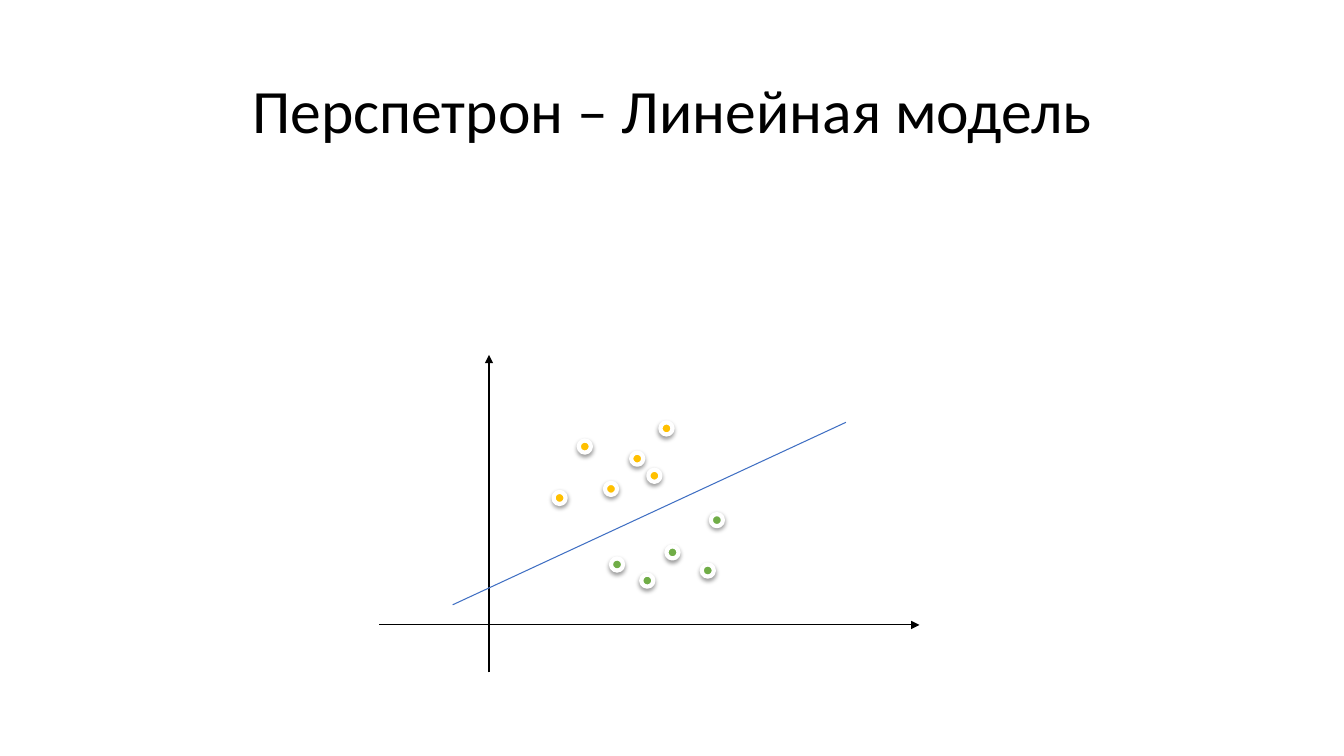
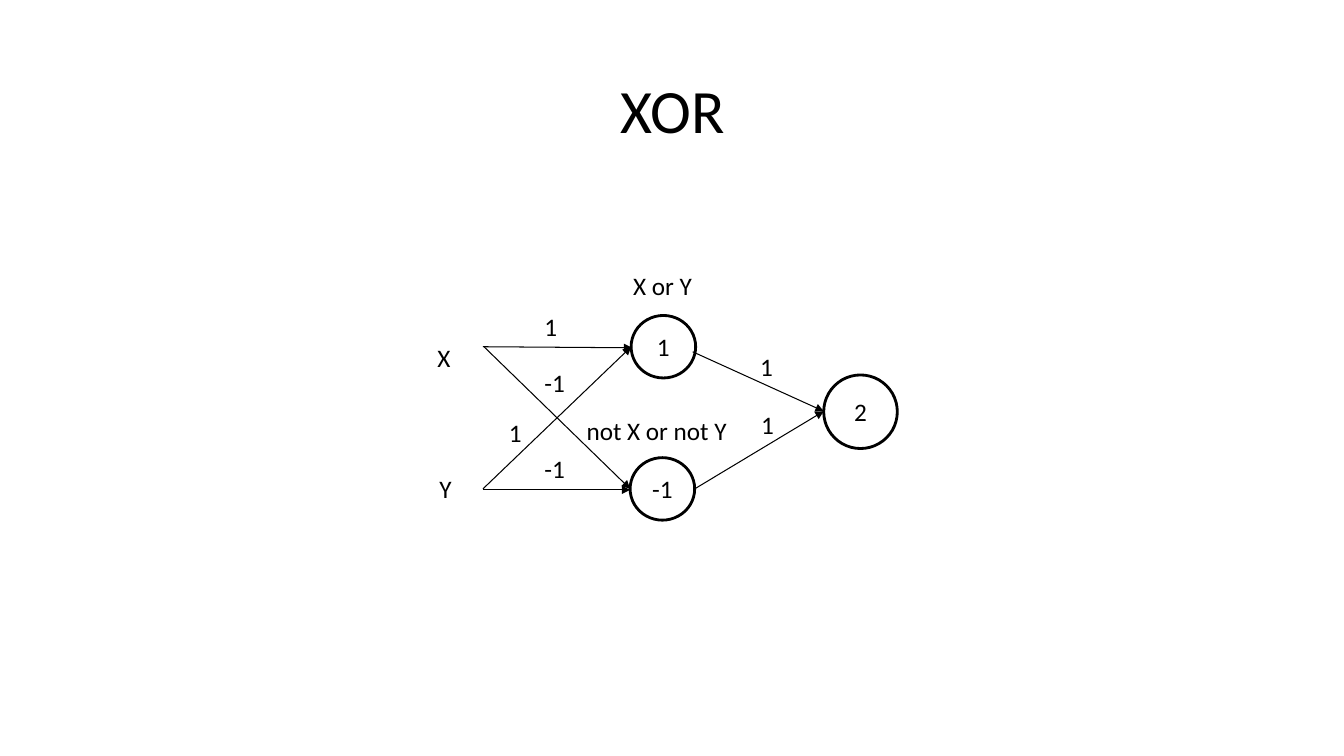
"""Build two slides: a linear perceptron model and an XOR network."""
from lxml import etree
from pptx import Presentation
from pptx.dml.color import RGBColor
from pptx.enum.shapes import MSO_CONNECTOR, MSO_SHAPE
from pptx.enum.text import MSO_ANCHOR, PP_ALIGN
from pptx.oxml.ns import qn
from pptx.util import Inches, Pt

STRAIGHT = MSO_CONNECTOR.STRAIGHT
OVAL = MSO_SHAPE.OVAL
MIDDLE = MSO_ANCHOR.MIDDLE
CENTER = PP_ALIGN.CENTER

FONT = "Calibri"
BLACK, WHITE, BLUE = "000000", "FFFFFF", "3F6FC3"
YELLOW, GREEN = "FFC000", "70AD47"
TITLES = ["Перспетрон – Линейная модель", "XOR"]
DOT = 0.12


def rgb(value):
    return RGBColor.from_string(value)


def add_line(s, x1, y1, x2, y2, color=BLACK, arrow=True):
    line = s.shapes.add_connector(STRAIGHT, Inches(x1), Inches(y1), Inches(x2), Inches(y2))
    line.line.color.rgb = rgb(color)
    line.line.width = Pt(0.75)
    if arrow:
        etree.SubElement(line.line._get_or_add_ln(), qn("a:tailEnd"), type="triangle")
    etree.SubElement(line._element.spPr, qn("a:effectLst"))


prs = Presentation()
prs.slide_width, prs.slide_height = Inches(13.33), Inches(7.5)

for title in TITLES:
    s = prs.slides.add_slide(prs.slide_layouts[5])
    sp = s.shapes.title
    sp.left, sp.top, sp.width, sp.height = Inches(0.92), Inches(0.4), Inches(11.5), Inches(1.45)
    tf = sp.text_frame
    tf.text = title
    tf.vertical_anchor = MIDDLE
    p = tf.paragraphs[0]
    p.alignment = CENTER
    p.line_spacing = 0.9
    p.font.name, p.font.size = FONT, Pt(44)
    p.font.color.rgb = rgb(BLACK)

model, network = prs.slides

add_line(model, 4.85, 6.67, 4.85, 3.52)
add_line(model, 3.76, 6.2, 9.12, 6.2)
add_line(model, 4.49, 6, 8.39, 4.19, BLUE, arrow=False)

classes = {
    YELLOW: [(5.74, 4.37), (6.26, 4.49), (5.49, 4.88), (6.55, 4.19), (6.43, 4.66), (6, 4.79)],
    GREEN: [(6.06, 5.54), (6.36, 5.7), (6.61, 5.42), (6.96, 5.6), (7.05, 5.1)],
}
for color, points in classes.items():
    for x, y in points:
        sp = model.shapes.add_shape(OVAL, Inches(x), Inches(y), Inches(DOT), Inches(DOT))
        sp.fill.solid()
        sp.fill.fore_color.rgb = rgb(color)
        sp.line.color.rgb = rgb(WHITE)
        sp.line.width = Pt(3)
        sp.shadow.inherit = False
        effects = sp._element.spPr.find(qn("a:effectLst"))
        shadow = etree.SubElement(effects, qn("a:outerShdw"), blurRad=str(Pt(3.1)),
                                  dist=str(Pt(1.6)), dir="5400000", rotWithShape="0")
        shade = etree.SubElement(shadow, qn("a:srgbClr"), val=BLACK)
        etree.SubElement(shade, qn("a:alpha"), val="38000")

neurons = [
    ("1", 6.26, 3.13, 0.64, 0.62),
    ("-1", 6.25, 4.54, 0.64, 0.62),
    ("2", 8.17, 3.72, 0.73, 0.73),
]
for text, x, y, w, h in neurons:
    sp = network.shapes.add_shape(OVAL, Inches(x), Inches(y), Inches(w), Inches(h))
    sp.shadow.inherit = False
    sp.fill.solid()
    sp.fill.fore_color.rgb = rgb(WHITE)
    sp.line.color.rgb = rgb(BLACK)
    sp.line.width = Pt(2)
    tf = sp.text_frame
    tf.text = text
    tf.vertical_anchor = MIDDLE
    p = tf.paragraphs[0]
    p.alignment = CENTER
    p.font.name, p.font.size = FONT, Pt(18)
    p.font.color.rgb = rgb(BLACK)

links = [
    (4.79, 3.44, 6.27, 3.45),
    (4.79, 4.85, 6.26, 3.44),
    (4.8, 3.44, 6.25, 4.85),
    (4.79, 4.86, 6.25, 4.86),
    (6.87, 3.49, 8.17, 4.08),
    (6.89, 4.85, 8.17, 4.08),
]
for link in links:
    add_line(network, *link)

labels = [
    ("X", 4.24, 3.35, 0.33),
    ("Y", 4.26, 4.65, 0.31),
    ("X or Y", 6.18, 2.63, 0.79),
    ("not X or not Y", 5.72, 4.07, 1.64),
    ("1", 5.3, 3.04, 0.33),
    ("-1", 5.3, 3.59, 0.41),
    ("1", 4.95, 4.09, 0.33),
    ("-1", 5.3, 4.45, 0.41),
    ("1", 7.44, 3.44, 0.33),
    ("1", 7.45, 4.01, 0.33),
]
for text, x, y, w in labels:
    sp = network.shapes.add_textbox(Inches(x), Inches(y), Inches(w), Inches(0.4))
    tf = sp.text_frame
    tf.word_wrap = False
    tf.text = text
    p = tf.paragraphs[0]
    p.font.name, p.font.size = FONT, Pt(18)
    p.font.color.rgb = rgb(BLACK)

prs.save("out.pptx")
